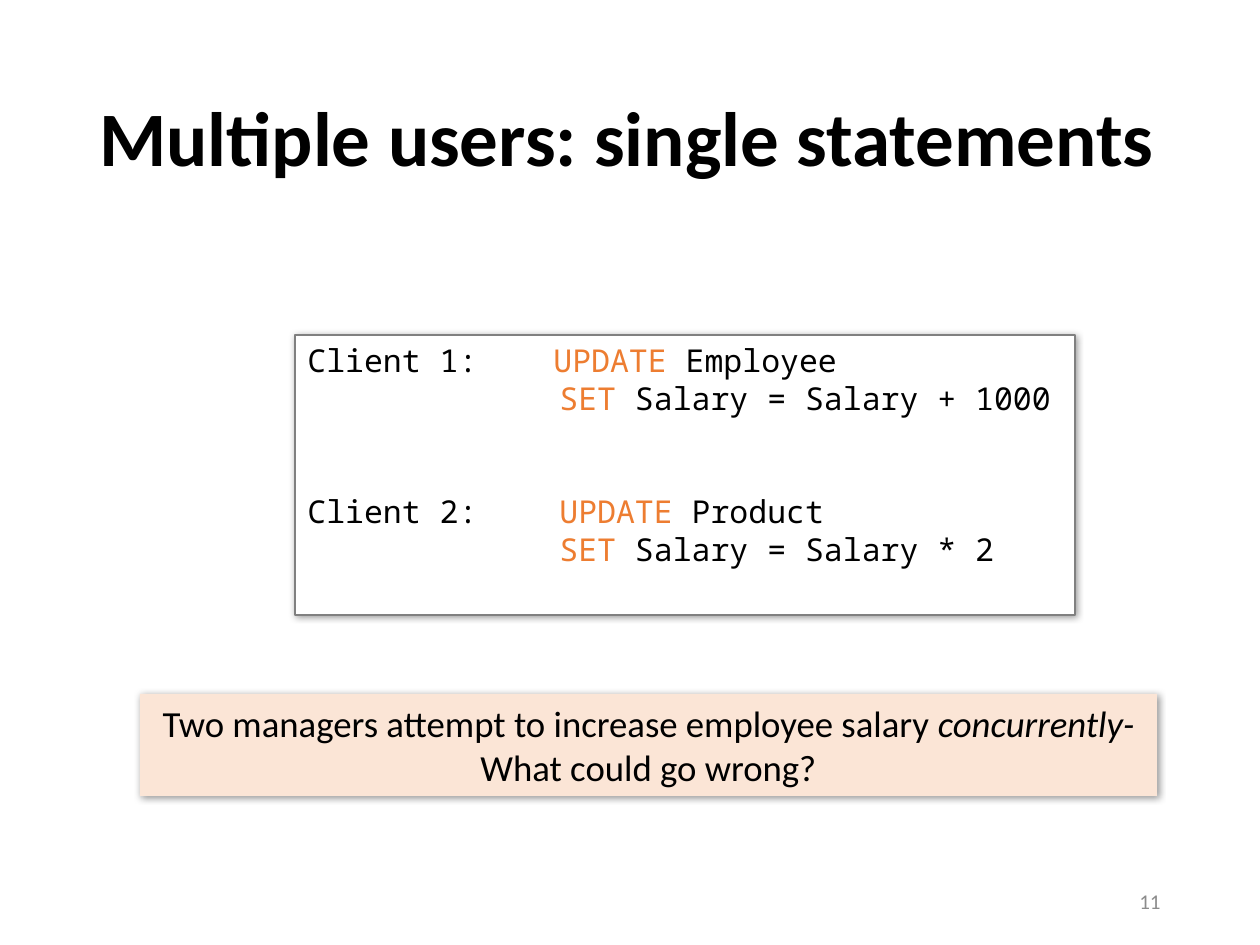
from dataclasses import dataclass

from lxml import etree
from pptx import Presentation
from pptx.dml.color import RGBColor
from pptx.enum.shapes import MSO_SHAPE
from pptx.enum.text import MSO_ANCHOR, PP_ALIGN
from pptx.oxml.ns import qn
from pptx.util import Pt

RECT = MSO_SHAPE.RECTANGLE
TOP, MIDDLE = MSO_ANCHOR.TOP, MSO_ANCHOR.MIDDLE
LEFT, CENTER, RIGHT = PP_ALIGN.LEFT, PP_ALIGN.CENTER, PP_ALIGN.RIGHT
EMU_PER_PX = 914400 / 126


@dataclass(frozen=True)
class Theme:
    text: str = "000000"
    muted: str = "8C8C8C"
    keyword: str = "ED7D31"
    panel: str = "FFFFFF"
    border: str = "808080"
    callout: str = "FBE5D6"
    font: str = "Calibri"
    mono: str = "Noto Sans Mono"
    title_size: int = 44
    callout_size: int = 21
    code_size: int = 18
    number_size: int = 12


THEME = Theme()


def px(n):
    return round(n * EMU_PER_PX)


def add_text(tf, *parts, size, font=THEME.font, color=THEME.text, bold=False,
             align=LEFT, line_spacing=None, before=0, tab=None):
    """Add a paragraph; each part is a string or (string, overrides)."""
    p = tf.paragraphs[0]
    if p.runs:
        p = tf.add_paragraph()
    p.alignment = align
    p.line_spacing = line_spacing
    p.space_before = Pt(before)
    if tab:
        tabs = etree.SubElement(p._p.get_or_add_pPr(), qn("a:tabLst"))
        etree.SubElement(tabs, qn("a:tab"), pos=str(px(tab)), algn="l")
    for part in parts:
        text, own = (part, {}) if isinstance(part, str) else part
        r = p.add_run()
        r.text = text
        r.font.name, r.font.size, r.font.bold = font, Pt(size), bold
        r.font.italic = own.get("italic", False)
        r.font.color.rgb = RGBColor.from_string(own.get("color", color))


def add_text_box(slide, box, anchor=MIDDLE):
    tf = slide.shapes.add_textbox(*map(px, box)).text_frame
    tf.word_wrap = True
    tf.vertical_anchor = anchor
    return tf


def add_panel(slide, box, fill, line=None, anchor=TOP):
    """Add a rectangle with a soft shadow and return its text frame."""
    sp = slide.shapes.add_shape(RECT, *map(px, box))
    sp.fill.solid()
    sp.fill.fore_color.rgb = RGBColor.from_string(fill)
    if line:
        sp.line.color.rgb = RGBColor.from_string(line)
        sp.line.width = Pt(0.75)
    else:
        sp.line.fill.background()
    sp.shadow.inherit = False
    effects = sp._element.spPr.find(qn("a:effectLst"))
    shadow = etree.SubElement(effects, qn("a:outerShdw"), blurRad=str(Pt(4)),
                              dist=str(Pt(1)), dir="2700000", algn="tl", rotWithShape="0")
    color = etree.SubElement(shadow, qn("a:srgbClr"), val="000000")
    etree.SubElement(color, qn("a:alpha"), val="40000")
    tf = sp.text_frame
    tf.word_wrap = True
    tf.vertical_anchor = anchor
    return tf


def add_title(slide, box):
    add_text(add_text_box(slide, box), "Multiple users: single statements",
             size=THEME.title_size, bold=True, line_spacing=0.9)


def add_code(slide, box):
    tf = add_panel(slide, box, THEME.panel, THEME.border)
    # label, keyword, rest, tab position, space before
    lines = [
        ("Client 1:", "UPDATE", " Employee", 246, 0),
        ("", "SET", " Salary = Salary + 1000", 252, 0),
        ("Client 2:", "UPDATE", " Product", 252, 43),
        ("", "SET", " Salary = Salary * 2", 252, 0),
    ]
    for label, keyword, rest, tab, before in lines:
        add_text(tf, label + "\t", (keyword, {"color": THEME.keyword}), rest,
                 size=THEME.code_size, font=THEME.mono, tab=tab, before=before)


def add_callout(slide, box):
    tf = add_panel(slide, box, THEME.callout, anchor=MIDDLE)
    style = {"size": THEME.callout_size, "align": CENTER}
    add_text(tf, "Two managers attempt to increase employee salary ",
             ("concurrently-", {"italic": True}), **style)
    add_text(tf, "What could go wrong?", **style)


def add_slide_number(slide, box):
    add_text(add_text_box(slide, box), "11", size=THEME.number_size,
             color=THEME.muted, align=RIGHT)


def main():
    prs = Presentation()
    prs.slide_width, prs.slide_height = px(1260), px(945)
    slide = prs.slides.add_slide(prs.slide_layouts[6])
    add_slide_number(slide, (890, 876, 283, 50))
    add_title(slide, (87, 50, 1086, 183))
    add_code(slide, (295, 335, 780, 280))
    add_callout(slide, (140, 694, 1017, 102))
    prs.save("out.pptx")


if __name__ == "__main__":
    main()
